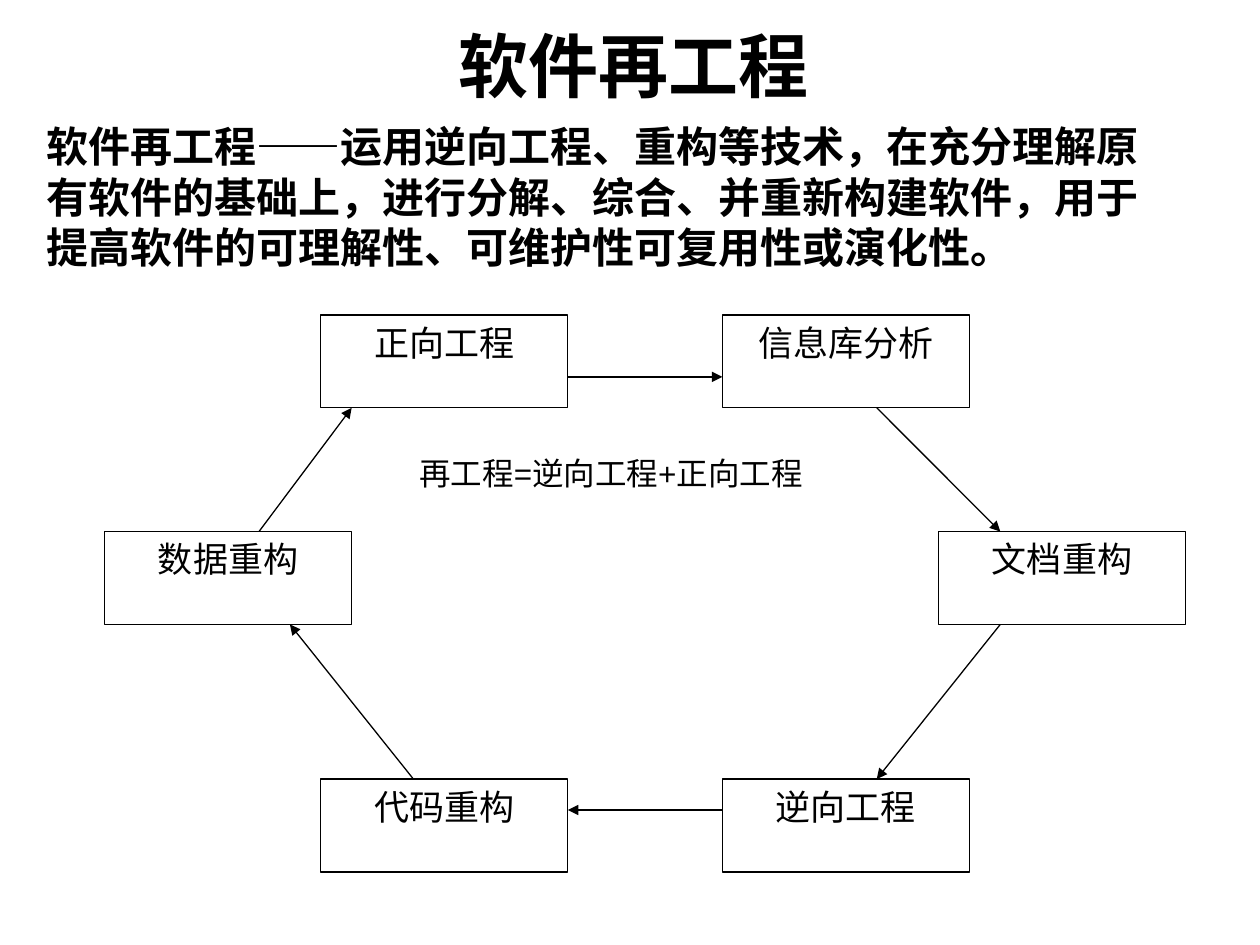
from typing import NamedTuple

from lxml.etree import SubElement
from pptx import Presentation
from pptx.dml.color import RGBColor
from pptx.enum.shapes import MSO_CONNECTOR, MSO_SHAPE
from pptx.enum.text import MSO_ANCHOR, PP_ALIGN
from pptx.oxml.ns import qn
from pptx.util import Inches, Pt

BLACK = RGBColor(0, 0, 0)
WHITE = RGBColor(255, 255, 255)
LINE_WIDTH = Pt(0.75)

# The cycle lies on a grid of 35 columns by 18 rows; each box takes 8 by 3.
CYCLE_LEFT, CYCLE_TOP = 0.83, 2.5
COLUMN = 8.58 / 35
ROW = 4.42 / 18
BOX_COLUMNS, BOX_ROWS = 8, 3


class Step(NamedTuple):
    name: str
    column: int
    row: int


class Arrow(NamedTuple):
    from_column: int
    from_row: int
    to_column: int
    to_row: int


STEPS = [
    Step("正向工程", 7, 0),
    Step("信息库分析", 20, 0),
    Step("文档重构", 27, 7),
    Step("逆向工程", 20, 15),
    Step("代码重构", 7, 15),
    Step("数据重构", 0, 7),
]
ARROWS = [
    Arrow(5, 7, 8, 3),
    Arrow(15, 2, 20, 2),
    Arrow(25, 3, 29, 7),
    Arrow(29, 10, 25, 15),
    Arrow(20, 16, 15, 16),
    Arrow(10, 15, 6, 10),
]


def grid_x(column: int) -> int:
    return Inches(CYCLE_LEFT + column * COLUMN)


def grid_y(row: int) -> int:
    return Inches(CYCLE_TOP + row * ROW)


def write_text(shape, text: str, *, size: float, font: str, bold: bool = False,
               align=PP_ALIGN.LEFT, anchor=MSO_ANCHOR.TOP, wrap: bool = True) -> None:
    frame = shape.text_frame
    frame.word_wrap = wrap
    frame.vertical_anchor = anchor
    paragraph = frame.paragraphs[0]
    paragraph.alignment = align
    run = paragraph.add_run()
    run.text = text
    run.font.size = Pt(size)
    run.font.name = font
    run.font.bold = bold
    run.font.color.rgb = BLACK


def add_text(slide, left: float, top: float, width: float, height: float,
             text: str, **text_format) -> None:
    box = slide.shapes.add_textbox(*map(Inches, (left, top, width, height)))
    write_text(box, text, **text_format)


def add_step(slide, step: Step) -> None:
    box = slide.shapes.add_shape(
        MSO_SHAPE.RECTANGLE, grid_x(step.column), grid_y(step.row),
        Inches(BOX_COLUMNS * COLUMN), Inches(BOX_ROWS * ROW))
    box.shadow.inherit = False
    box.fill.solid()
    box.fill.fore_color.rgb = WHITE
    box.line.color.rgb = BLACK
    box.line.width = LINE_WIDTH
    write_text(box, step.name, size=20, font="Times New Roman", align=PP_ALIGN.CENTER)


def add_arrow(slide, arrow: Arrow) -> None:
    connector = slide.shapes.add_connector(
        MSO_CONNECTOR.STRAIGHT,
        grid_x(arrow.from_column), grid_y(arrow.from_row),
        grid_x(arrow.to_column), grid_y(arrow.to_row))
    connector.line.color.rgb = BLACK
    connector.line.width = LINE_WIDTH
    SubElement(connector.line._get_or_add_ln(), qn("a:tailEnd"), type="triangle")
    SubElement(connector._element.spPr, qn("a:effectLst"))


def main() -> None:
    presentation = Presentation()
    presentation.slide_width = Inches(10)
    presentation.slide_height = Inches(7.5)
    slide = presentation.slides.add_slide(presentation.slide_layouts[6])

    add_text(slide, 0.59, 0.13, 9, 0.77, "软件再工程 ", size=40,
             font="Times New Roman", bold=True, align=PP_ALIGN.CENTER,
             anchor=MSO_ANCHOR.MIDDLE)
    for step in STEPS:
        add_step(slide, step)
    for arrow in ARROWS:
        add_arrow(slide, arrow)
    add_text(slide, 0.27, 0.91, 8.98, 1.3,
             "软件再工程——运用逆向工程、重构等技术，在充分理解原有软件的基础上，"
             "进行分解、综合、并重新构建软件，用于提高软件的可理解性、"
             "可维护性可复用性或演化性。",
             size=24, font="Arial", bold=True)
    add_text(slide, 3.23, 3.55, 3.54, 0.4, "再工程=逆向工程+正向工程",
             size=18, font="Arial", anchor=MSO_ANCHOR.MIDDLE, wrap=False)
    presentation.save("out.pptx")


if __name__ == "__main__":
    main()
